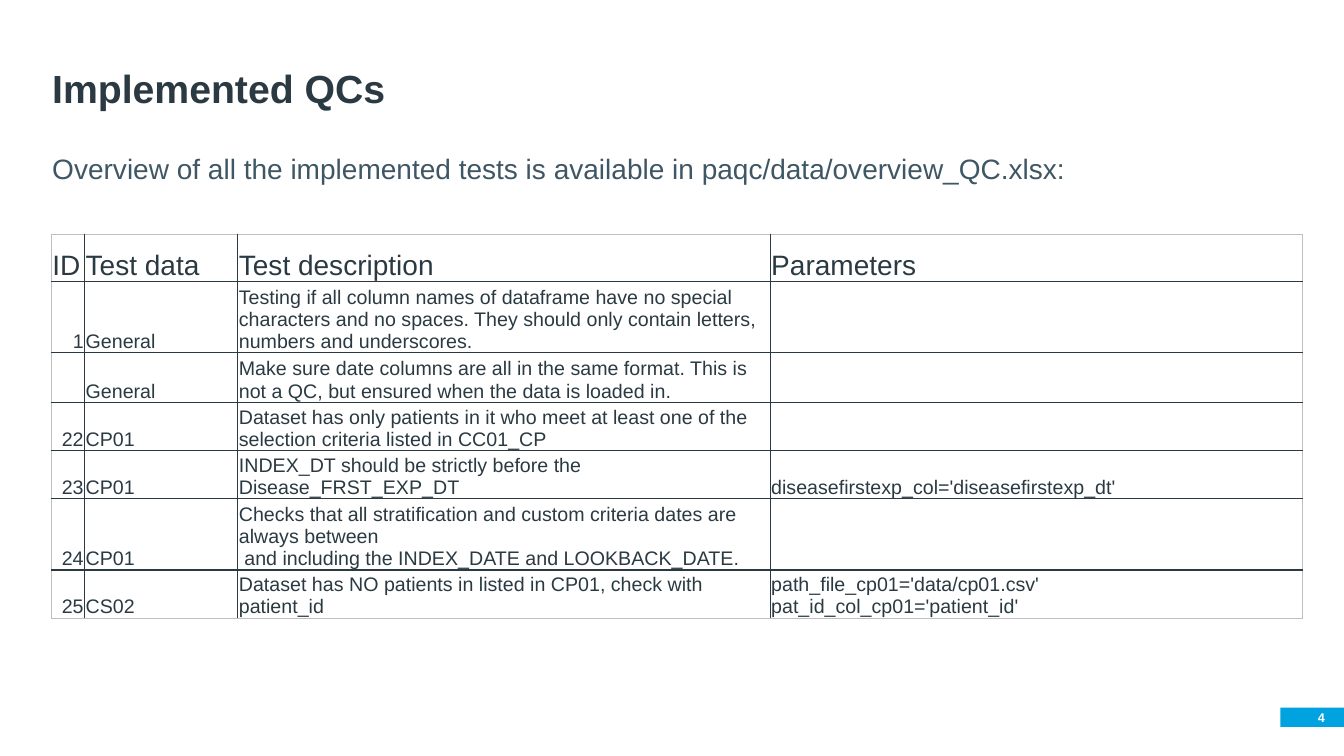
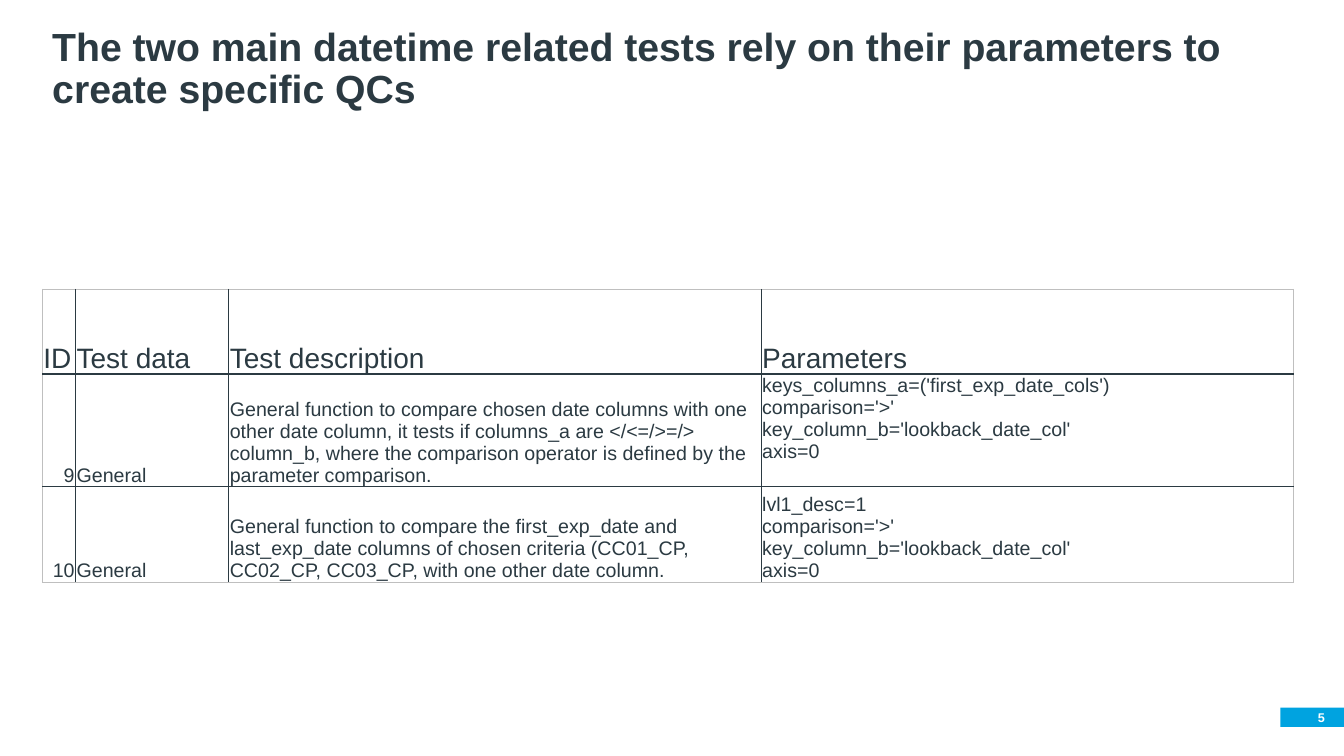
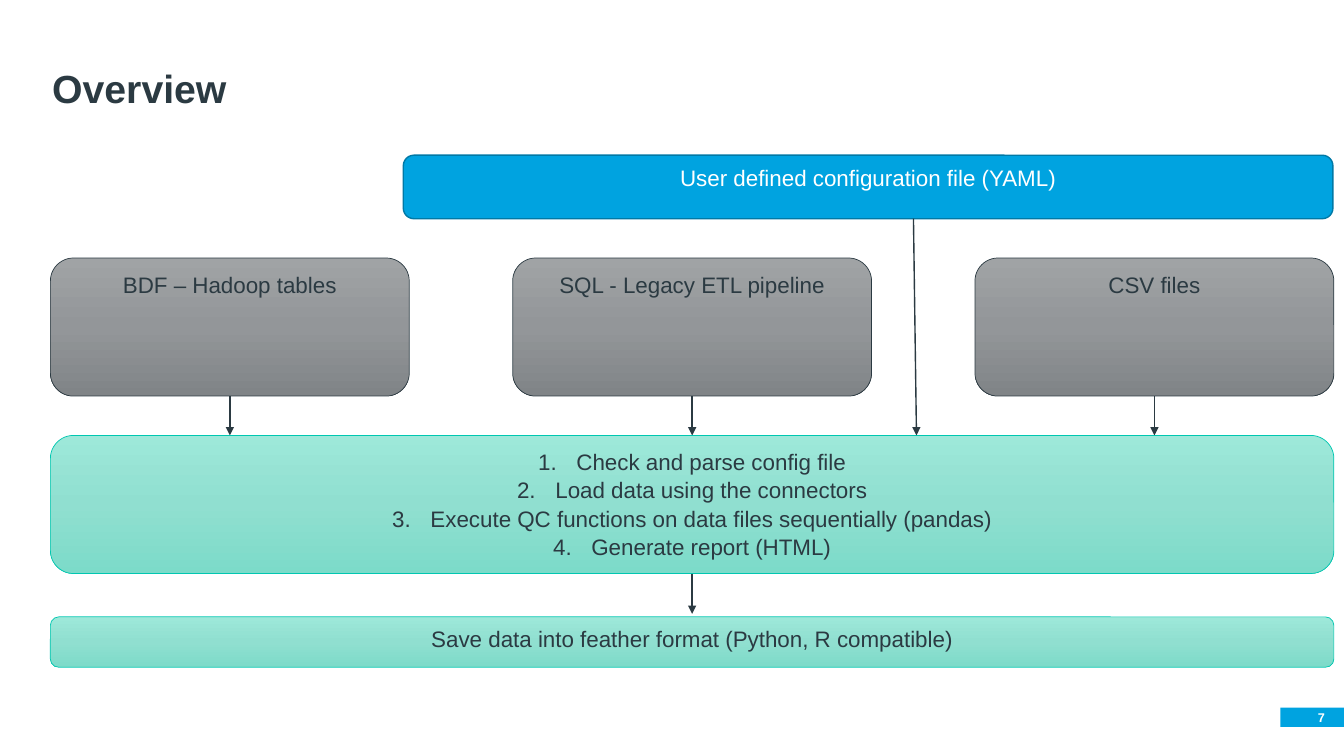
"""Build three slides about data quality checks: two test tables and a pipeline overview."""
import copy

import pptx
import pptx.dml.color
import pptx.enum.dml
import pptx.enum.shapes
import pptx.enum.text
import pptx.oxml
import pptx.oxml.ns
import pptx.util
from lxml import etree

Inches, Pt = pptx.util.Inches, pptx.util.Pt
RGBColor = pptx.dml.color.RGBColor
MSO_SHAPE = pptx.enum.shapes.MSO_SHAPE
ALIGN = pptx.enum.text.PP_ALIGN
ANCHOR = pptx.enum.text.MSO_ANCHOR
qn = pptx.oxml.ns.qn

INK = RGBColor(0x2B, 0x3A, 0x42)
SLATE = RGBColor(0x3F, 0x57, 0x65)
BLUE = RGBColor(0x00, 0xA3, 0xE0)
DARK_BLUE = RGBColor(0x00, 0x79, 0xA6)
TEAL = RGBColor(0x00, 0xC7, 0xB1)
WHITE = RGBColor(0xFF, 0xFF, 0xFF)
EDGE = RGBColor(0xBF, 0xBF, 0xBF)
GREY_FADE = [RGBColor.from_string(c) for c in ("A0A3A5", "939699", "808487")]
TEAL_FADE = [RGBColor.from_string(c) for c in ("9DE8D9", "90DFD0", "7CDBC9")]
FONT = "Arial"

COLUMNS = [0.33, 1.52, 5.28, 5.28]
HEADER = ("ID", "Test data", "Test description", "Parameters")

OVERVIEW_ROWS = [
    ("1", "General", "Testing if all column names of dataframe have no special characters "
     "and no spaces. They should only contain letters, numbers and underscores.", ""),
    ("", "General", "Make sure date columns are all in the same format. This is not a QC, "
     "but ensured when the data is loaded in.", ""),
    ("22", "CP01", "Dataset has only patients in it who meet at least one of the selection "
     "criteria listed in CC01_CP", ""),
    ("23", "CP01", "INDEX_DT should be strictly before the Disease_FRST_EXP_DT",
     "diseasefirstexp_col='diseasefirstexp_dt'"),
    ("24", "CP01", "Checks that all stratification and custom criteria dates are always "
     "between\n and including the INDEX_DATE and LOOKBACK_DATE.", ""),
    ("25", "CS02", "Dataset has NO patients in listed in CP01, check with patient_id",
     "path_file_cp01='data/cp01.csv'\npat_id_col_cp01='patient_id'"),
]
DATETIME_ROWS = [
    ("9", "General", "General function to compare chosen date columns with one other date "
     "column, it tests if columns_a are </<=/>=/> column_b, where the comparison operator "
     "is defined by the parameter comparison.",
     "keys_columns_a=('first_exp_date_cols')\ncomparison='>'\n"
     "key_column_b='lookback_date_col'\naxis=0"),
    ("10", "General", "General function to compare the first_exp_date and last_exp_date "
     "columns of chosen criteria (CC01_CP, CC02_CP, CC03_CP, with one other date column.",
     "lvl1_desc=1\ncomparison='>'\nkey_column_b='lookback_date_col'\naxis=0"),
]
SOURCES = ["BDF – Hadoop tables", "SQL - Legacy ETL pipeline", "CSV files"]
STEPS = ["Check and parse config file", "Load data using the connectors",
         "Execute QC functions on data files sequentially (pandas)", "Generate report (HTML)"]

LEFT, WIDTH = 0.5, 12.73
SOURCE_TOP, SOURCE_W, BLOCK_H = 2.56, 3.56, 1.37
STEPS_TOP, SAVE_TOP = 4.32, 6.12


def write(tf, lines, size, color, bold=False, align=ALIGN.LEFT, spacing=None):
    for i, line in enumerate(lines):
        p = tf.paragraphs[0] if i == 0 else tf.add_paragraph()
        p.alignment = align
        if spacing:
            p.line_spacing = spacing
        r = p.add_run()
        r.text = line
        r.font.color.rgb = color
        for name, value in {"name": FONT, "size": Pt(size), "bold": bold}.items():
            setattr(r.font, name, value)


def set_margins(target, left, top, right, bottom):
    for side, value in {"left": left, "top": top, "right": right, "bottom": bottom}.items():
        setattr(target, "margin_" + side, Inches(value))


def add_label(s, box, text, size, color, **style):
    tf = s.shapes.add_textbox(*map(Inches, box)).text_frame
    tf.word_wrap = True
    write(tf, [text], size, color, **style)
    return tf


def add_box(s, kind, box, fill, line=None, line_width=0.5):
    sp = s.shapes.add_shape(kind, *map(Inches, box))
    sp.shadow.inherit = False
    if isinstance(fill, list):
        sp.fill.gradient()
        sp.fill.gradient_angle = 270
        stops = sp.element.find(".//" + qn("a:gsLst"))
        stops.insert(1, copy.deepcopy(stops[0]))
        for i, (stop, color) in enumerate(zip(sp.fill.gradient_stops, fill)):
            stop.position = i / 2
            stop.color.rgb = color
    else:
        sp.fill.solid()
        sp.fill.fore_color.rgb = fill
    if line is None:
        sp.line.fill.background()
    else:
        sp.line.color.rgb = line
        sp.line.width = Pt(line_width)
    return sp


def add_block(s, box, lines, fill, line, color=INK, line_width=0.5):
    sp = add_box(s, MSO_SHAPE.ROUNDED_RECTANGLE, box, fill, line, line_width)
    sp.text_frame.vertical_anchor = ANCHOR.TOP
    write(sp.text_frame, lines, 16, color, align=ALIGN.CENTER, spacing=1.05)
    return sp


def add_arrow(s, x1, y1, x2, y2):
    arrow = s.shapes.add_connector(pptx.enum.shapes.MSO_CONNECTOR.STRAIGHT,
                                   *map(Inches, (x1, y1, x2, y2)))
    arrow.line.color.rgb = INK
    arrow.line.width = Pt(1)
    etree.SubElement(arrow.line._get_or_add_ln(), qn("a:tailEnd"), type="triangle")
    etree.SubElement(arrow.element.spPr, qn("a:effectLst"))


def add_border(tc_pr, side, color, width):
    ln = etree.SubElement(tc_pr, qn("a:ln" + side), w=str(Pt(width)))
    fill = etree.SubElement(ln, qn("a:solidFill"))
    etree.SubElement(fill, qn("a:srgbClr"), val=str(color))


def add_test_table(s, left, top, heights, rows):
    rows = [HEADER] + rows
    table = s.shapes.add_table(len(rows), len(COLUMNS), Inches(left), Inches(top),
                               Inches(sum(COLUMNS)), Inches(sum(heights))).table
    table.first_row = table.horz_banding = False
    for column, width in zip(table.columns, COLUMNS):
        column.width = Inches(width)
    for i, (row, height) in enumerate(zip(rows, heights)):
        table.rows[i].height = Inches(height)
        for j, text in enumerate(row):
            cell = table.cell(i, j)
            outer = {"L": j == 0, "R": j == len(COLUMNS) - 1,
                     "T": i == 0, "B": i == len(rows) - 1}
            for side, at_edge in outer.items():
                add_border(cell._tc.get_or_add_tcPr(), side,
                           EDGE if at_edge else INK, 0.5 if at_edge else 1)
            cell.fill.background()
            cell.vertical_anchor = ANCHOR.BOTTOM
            set_margins(cell, 0.01, 0.01, 0.01, 0)
            write(cell.text_frame, text.split("\n"), 14 if i else 20, INK,
                  align=ALIGN.RIGHT if i and j == 0 else ALIGN.LEFT)
    return table


def add_slide(prs, title, number):
    s = prs.slides.add_slide(prs.slide_layouts[6])
    band = add_box(s, MSO_SHAPE.RECTANGLE, (12.7, 7.02, 0.63, 0.19), BLUE)
    band.text_frame.vertical_anchor = ANCHOR.MIDDLE
    set_margins(band.text_frame, 0, 0, 0.19, 0)
    write(band.text_frame, [str(number)], 9, WHITE, bold=True, align=ALIGN.RIGHT)
    tf = add_label(s, (0.42, 0.32, 12.4, 0.84), title, 28, INK, bold=True, spacing=0.9)
    tf.vertical_anchor = ANCHOR.BOTTOM
    return s


def add_pipeline(s):
    gap = (WIDTH - SOURCE_W) / (len(SOURCES) - 1)
    for i, source in enumerate(SOURCES):
        x = LEFT + i * gap
        add_block(s, (x, SOURCE_TOP, SOURCE_W, BLOCK_H), [source], GREY_FADE, INK)
        center = x + SOURCE_W / 2
        add_arrow(s, center, SOURCE_TOP + BLOCK_H, center, STEPS_TOP)
    steps = add_block(s, (LEFT, STEPS_TOP, WIDTH, BLOCK_H), STEPS, TEAL_FADE, TEAL)
    for p in steps.text_frame.paragraphs:
        p_pr = p._p.get_or_add_pPr()
        p_pr.set("marL", str(Inches(0.38)))
        p_pr.set("indent", str(-Inches(0.38)))
        etree.SubElement(p_pr, qn("a:buFont"), typeface=FONT)
        etree.SubElement(p_pr, qn("a:buAutoNum"), type="arabicPeriod")
    add_block(s, (LEFT, SAVE_TOP, WIDTH, 0.5),
              ["Save data into feather format (Python, R compatible)"], TEAL_FADE, TEAL)
    middle = LEFT + WIDTH / 2
    add_arrow(s, middle, STEPS_TOP + BLOCK_H, middle, SAVE_TOP - 0.03)
    add_block(s, (4, 1.54, 9.22, 0.63), ["User defined configuration file (YAML)"],
              BLUE, DARK_BLUE, WHITE, 1)
    add_arrow(s, 9.06, 2.17, 9.09, STEPS_TOP)


def main():
    prs = pptx.Presentation()
    prs.slide_width, prs.slide_height = Inches(13.33), Inches(7.5)

    s = add_slide(prs, "Implemented QCs", 4)
    add_test_table(s, 0.51, 2.32, [0.47, 0.67, 0.49, 0.46, 0.46, 0.67, 0.45], OVERVIEW_ROWS)
    add_label(s, (0.42, 1.45, 10.27, 0.44), "Overview of all the implemented tests is "
              "available in paqc/data/overview_QC.xlsx:", 20, SLATE)

    s = add_slide(prs, "The two main datetime related tests rely on their parameters "
                  "to create specific QCs", 5)
    table = add_test_table(s, 0.42, 2.87, [0.84, 1.12, 0.88], DATETIME_ROWS)
    table.cell(1, 3).vertical_anchor = ANCHOR.TOP

    add_pipeline(add_slide(prs, "Overview", 7))
    prs.save("out.pptx")


if __name__ == "__main__":
    main()
